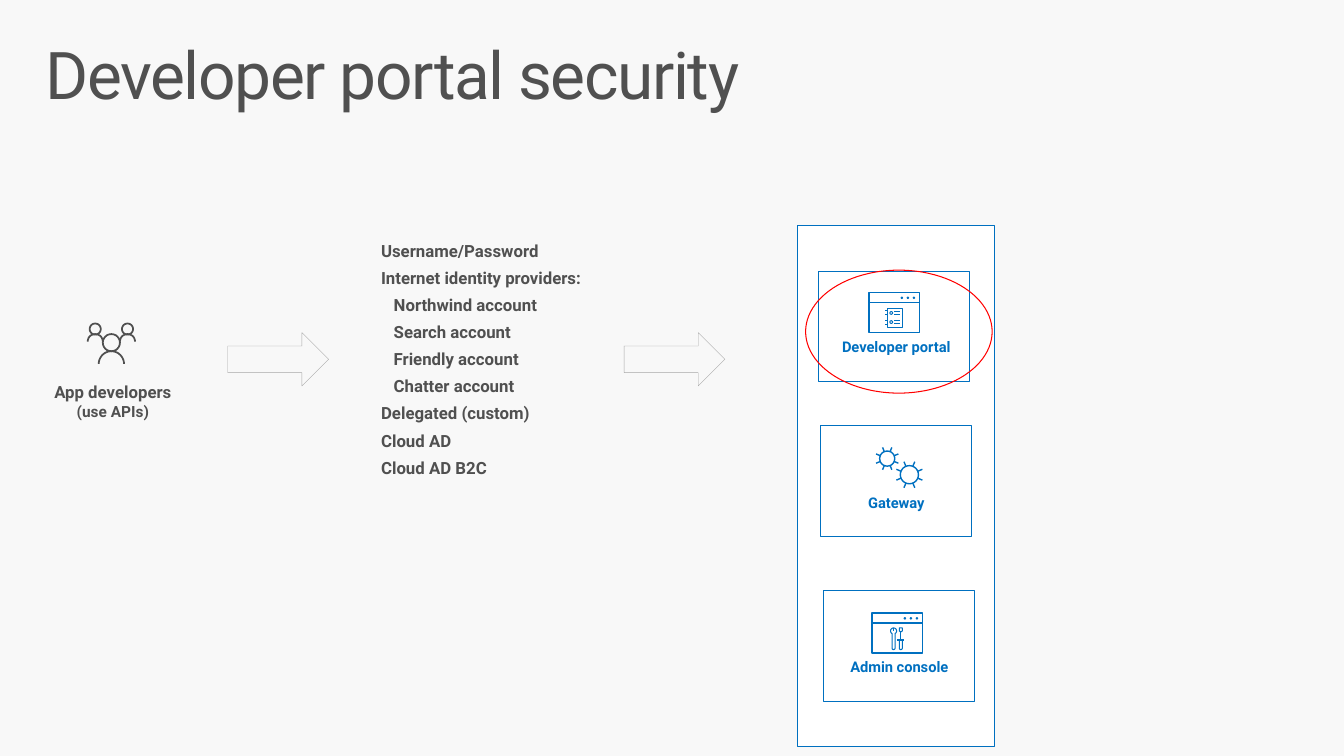
import math
import pptx
import pptx.util
import pptx.dml.color
import pptx.enum.shapes
import pptx.enum.text

GREY, BLUE = "505050", "0070C0"
CELL = pptx.util.Inches(0.1)  # square grid, 75 rows high
kinds = pptx.enum.shapes.MSO_SHAPE
aligns = pptx.enum.text.PP_ALIGN
anchors = pptx.enum.text.MSO_ANCHOR
sizing = pptx.enum.text.MSO_AUTO_SIZE


def rgb(value):
    return pptx.dml.color.RGBColor.from_string(value)


def arc(cx, cy, radius, start=0, end=360):
    """Points along an arc; angles run clockwise from the right."""
    turns = [math.radians(start + (end - start) * i / 24) for i in range(25)]
    return [(cx + radius * math.cos(t), cy + radius * math.sin(t)) for t in turns]


prs = pptx.Presentation()
prs.slide_width = pptx.util.Inches(13.33)
prs.slide_height = pptx.util.Inches(7.5)
s = prs.slides.add_slide(prs.slide_layouts[6])
s.background.fill.solid()
s.background.fill.fore_color.rgb = rgb("F8F8F8")

# Panel, tiles, arrows and highlight: kind, grid box, fill, line, width
for kind, box, fill, line, width in [
    (kinds.RECTANGLE, (79.1, 22.4, 19.5, 51.7), "FFFFFF", BLUE, 0.75),
    (kinds.RECTANGLE, (81.2, 26.9, 15, 11), None, BLUE, 0.75),
    (kinds.RECTANGLE, (81.4, 42.2, 15, 11), None, BLUE, 0.75),
    (kinds.RECTANGLE, (81.7, 58.6, 15, 11), None, BLUE, 0.75),
    (kinds.RIGHT_ARROW, (22.6, 33, 10, 5.3), None, "A8A8A8", 0.25),
    (kinds.RIGHT_ARROW, (61.9, 33, 10, 5.3), None, "A8A8A8", 0.25),
    (kinds.OVAL, (79.9, 26.8, 18.5, 12.2), None, "FF0000", 0.75),
]:
    sp = s.shapes.add_shape(kind, *[round(v * CELL) for v in box])
    sp.shadow.inherit = False
    if fill:
        sp.fill.solid()
        sp.fill.fore_color.rgb = rgb(fill)
    else:
        sp.fill.background()
    sp.line.color.rgb = rgb(line)
    sp.line.width = pptx.util.Pt(width)

# Icon outlines, each a list of strokes
window = [[(0, 0), (5, 0), (5, 4), (0, 4), (0, 0)], [(0, 1), (5, 1)]]
window += [arc(x, 0.55, 0.05) for x in (3.25, 3.85, 4.45)]

checklist = [[(1.8, 1.6), (3.3, 1.6), (3.3, 3.5), (1.8, 3.5), (1.8, 1.6)]]
checklist += [[(1.6, y), (1.8, y)] for y in (1.8, 2.2, 2.8, 3.2)]
checklist += [[(2.5, y), (3.1, y)] for y in (1.9, 2.2, 2.8, 3.1)]
checklist += [arc(2.2, y, 0.13) for y in (2.05, 2.95)]

wrench = arc(2.13, 1.8, 0.3, 120, 420) + arc(2.13, 3.5, 0.15, 0, 180)
tools = [
    wrench + wrench[:1],
    [(2.13, 1.5), (2.13, 1.8)],
    [(2.7, 2.7)] + arc(2.85, 3.5, 0.15, 180, 0) + [(3, 2.7)],
    [(2.5, 2.7), (3.2, 2.7)],
    [(2.85, 2.7), (2.85, 1.9)],
    [(3, 1.5), (2.7, 1.5), (2.7, 1.8), (2.85, 1.9), (3, 1.8), (3, 1.5)],
]

gears = []
for cx, cy, radius, tip in [(88, 45.5, 0.75, 1.2), (90.2, 47.1, 0.9, 1.4)]:
    gears.append(arc(cx, cy, radius))
    for k in range(8):
        angle = 22.5 + 45 * k
        gears.append([arc(cx, cy, edge, angle)[0] for edge in (radius, tip)])

people = [arc(11.05, 34, 0.85), arc(11.05, 36.1, 1.25, 180, 360)]
for x in (9.45, 12.65):
    people += [arc(x, 32.65, 0.55), arc(x, 33.9, 0.75, 180, 360)]

# Draw each icon as one freeform: strokes, grid origin, colour, width
for strokes, (left, top), line, width in [
    (checklist, (86.2, 29), BLUE, 0.75),
    (window, (86.2, 29), BLUE, 1),
    (gears, (0, 0), BLUE, 1),
    (tools, (86.5, 60.8), BLUE, 0.75),
    (window, (86.5, 60.8), BLUE, 1),
    (people, (0, 0), GREY, 1.25),
]:
    outline = None
    for stroke in strokes:
        points = [((left + x) * 100, (top + y) * 100) for x, y in stroke]
        if outline is None:
            outline = s.shapes.build_freeform(*points[0], scale=CELL / 100)
        else:
            outline.move_to(*points[0])
        outline.add_line_segments(points[1:], close=False)
    sp = outline.convert_to_shape()
    sp.shadow.inherit = False
    sp.fill.background()
    sp.line.color.rgb = rgb(line)
    sp.line.width = pptx.util.Pt(width)

# Texts: grid box, insets, wrap, anchor, alignment, colour, bold,
# line spacing, space before, lines of (text, size, indent)
TOP, MID = anchors.TOP, anchors.MIDDLE
LEFT, CENTER = aligns.LEFT, aligns.CENTER
sign_ins = [
    ("Username/Password", 0), ("Internet identity providers:", 0),
    ("Northwind account", 1.25), ("Search account", 1.25),
    ("Friendly account", 1.25), ("Chatter account", 1.25),
    ("Delegated (custom)", 0), ("Cloud AD", 0), ("Cloud AD B2C", 0),
]
texts = [
    ((2.9, 3.2, 127.5, 9.8), (1.6, 1), True, TOP, LEFT, GREY, False, 0.9, 0,
     [("Developer portal security", 47, 0)]),
    ((37.8, 23.7, 21.3, 23.8), (0, 0), False, MID, LEFT, GREY, True, 1, 5,
     [(text, 12, indent) for text, indent in sign_ins]),
    ((5, 37.9, 12.4, 3.9), (0, 0), False, TOP, CENTER, GREY, True, 1, 0,
     [("App developers", 12, 0), ("(use APIs)", 11, 0)]),
]
for label, left, top in [("Developer portal", 81.4, 32.9), ("Gateway", 81.4, 48.4),
                         ("Admin console", 81.7, 64.7)]:
    texts.append(((left, top, 15, 4.8), (2, 1.6), True, TOP, CENTER, BLUE, True,
                  0.9, 0, [(label, 10.5, 0)]))

for box, (side, edge), wrap, anchor, align, color, bold, spacing, before, lines in texts:
    sp = s.shapes.add_textbox(*[round(v * CELL) for v in box])
    tf = sp.text_frame
    tf.word_wrap = wrap
    tf.auto_size = sizing.SHAPE_TO_FIT_TEXT if bold else sizing.NONE
    tf.vertical_anchor = anchor
    tf.margin_left = tf.margin_right = round(side * CELL)
    tf.margin_top = tf.margin_bottom = round(edge * CELL)
    for i, (text, size, indent) in enumerate(lines):
        p = tf.add_paragraph() if i else tf.paragraphs[0]
        p.alignment = align
        p.line_spacing = spacing
        if i:
            p.space_before = pptx.util.Pt(before)
        if indent:
            p._p.get_or_add_pPr().set("marL", str(round(indent * CELL)))
        r = p.add_run()
        r.text = text
        r.font.name = "Roboto"
        r.font.size = pptx.util.Pt(size)
        r.font.bold = bold
        r.font.color.rgb = rgb(color)
        if not bold:  # the title is set slightly tighter
            r.font._element.set("spc", "-100")

prs.save("out.pptx")
